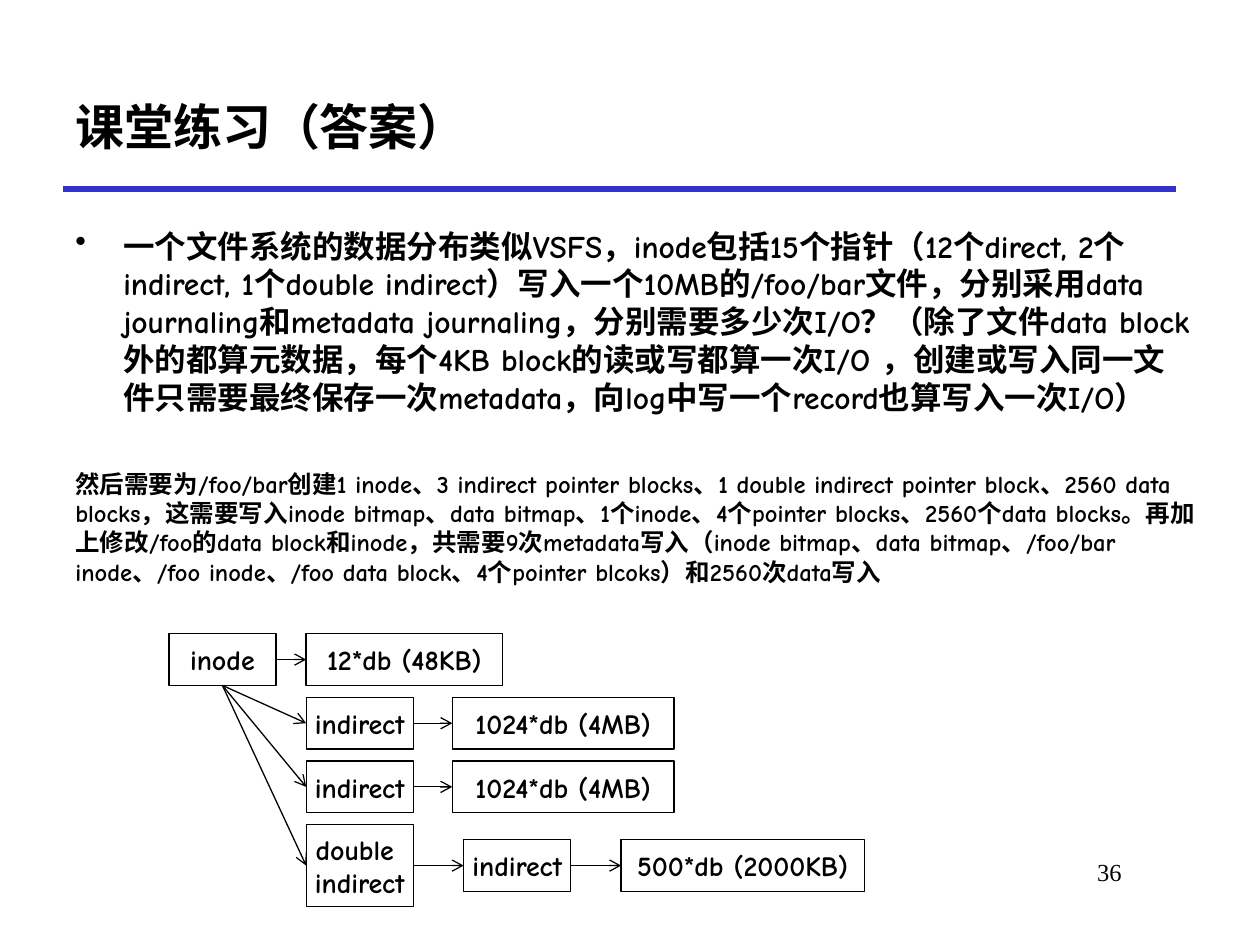
from lxml import etree
from pptx import Presentation
from pptx.dml.color import RGBColor
from pptx.enum.shapes import MSO_CONNECTOR, MSO_SHAPE
from pptx.enum.text import MSO_ANCHOR, PP_ALIGN
from pptx.oxml.ns import qn
from pptx.util import Inches, Pt

BLACK = RGBColor(0x00, 0x00, 0x00)
WHITE = RGBColor(0xFF, 0xFF, 0xFF)
BLUE = RGBColor(0x33, 0x33, 0xCC)
RECTANGLE = MSO_SHAPE.RECTANGLE
STRAIGHT = MSO_CONNECTOR.STRAIGHT
LEFT, CENTER, RIGHT = PP_ALIGN.LEFT, PP_ALIGN.CENTER, PP_ALIGN.RIGHT
TOP, MIDDLE = MSO_ANCHOR.TOP, MSO_ANCHOR.MIDDLE
LEFT_SIDE, BOTTOM_SIDE, RIGHT_SIDE = 1, 2, 3

TITLE = "课堂练习（答案）"
QUESTION = (
    "一个文件系统的数据分布类似VSFS，inode包括15个指针（12个direct, 2个indirect, "
    "1个double indirect）写入一个10MB的/foo/bar文件，分别采用data journaling和"
    "metadata journaling，分别需要多少次I/O？（除了文件data block外的都算元数据，"
    "每个4KB block的读或写都算一次I/O ，创建或写入同一文件只需要最终保存一次metadata，"
    "向log中写一个record也算写入一次I/O）"
)
ANSWER = (
    "然后需要为/foo/bar创建1 inode、3 indirect pointer blocks、"
    "1 double indirect pointer block、2560 data blocks，这需要写入inode bitmap、"
    "data bitmap、1个inode、4个pointer blocks、2560个data blocks。再加上修改/foo的"
    "data block和inode，共需要9次metadata写入（inode bitmap、data bitmap、"
    "/foo/bar inode、/foo inode、/foo data block、4个pointer blcoks）和2560次data写入"
)


def write(frame, lines, size, align=LEFT, anchor=TOP, wrap=True,
          name="Comic Neue", bold=True):
    """Fill a text frame, one paragraph per line of text."""
    frame.word_wrap = wrap
    frame.vertical_anchor = anchor
    for index, line in enumerate(lines):
        para = frame.add_paragraph() if index else frame.paragraphs[0]
        para.alignment = align
        span = para.add_run()
        span.text = line
        formats = {"name": name, "size": Pt(size), "bold": bold}
        for key, value in formats.items():
            setattr(span.font, key, value)
        span.font.color.rgb = BLACK
    return frame


def add_text(page, box, text, size, **options):
    area = page.shapes.add_textbox(*map(Inches, box))
    return write(area.text_frame, [text], size, **options)


def add_line(page, start, end, color, width):
    line = page.shapes.add_connector(STRAIGHT, *map(Inches, start + end))
    line.line.color.rgb = color
    line.line.width = Pt(width)
    etree.SubElement(line._element.spPr, qn("a:effectLst"))
    return line


def add_heading(page, box):
    """Title with the rule along its lower edge."""
    left, top, width, height = box
    add_line(page, (left, top + height), (left + width, top + height), BLUE, 3)
    add_text(page, box, TITLE, 28, anchor=MIDDLE)


def add_question(page, box):
    """Bulleted exercise text with a hanging indent."""
    para = add_text(page, box, QUESTION, 18).paragraphs[0]
    para.space_before = Pt(3.6)
    settings = para._p.get_or_add_pPr()
    settings.set("marL", str(Inches(0.38)))
    settings.set("indent", str(-Inches(0.38)))
    etree.SubElement(settings, qn("a:buChar"), char="•")


def add_node(page, box, lines):
    node = page.shapes.add_shape(RECTANGLE, *map(Inches, box))
    node.shadow.inherit = False
    node.fill.solid()
    node.fill.fore_color.rgb = WHITE
    node.line.color.rgb = BLACK
    node.line.width = Pt(0.75)
    write(node.text_frame, lines, 16, align=CENTER, anchor=MIDDLE, wrap=False)
    return node


def add_arrow(page, source, side, target):
    arrow = add_line(page, (0, 0), (0, 0), BLACK, 0.75)
    arrow.begin_connect(source, side)
    arrow.end_connect(target, LEFT_SIDE)
    etree.SubElement(arrow.line._get_or_add_ln(), qn("a:tailEnd"), type="arrow")


def add_inode_tree(page, box):
    """Inode, its pointers, and the data blocks that each row leads to."""
    left, top, _, height = box
    node_height, node_width = 0.41, 0.85
    pitch = 0.505
    tall = 0.65
    branch = left + 1.09
    inode = add_node(page, (left, top, node_width, node_height), ["inode"])

    # Each row: nodes as (lines, width, height), and the gap between them
    pointer = (["indirect"], node_width, node_height)
    double = (["double ", "indirect"], node_width, tall)
    rows = [
        ([(["12*db (48KB)"], 1.56, node_height)], 0),
        ([pointer, (["1024*db (4MB)"], 1.76, node_height)], 0.31),
        ([pointer, (["1024*db (4MB)"], 1.76, node_height)], 0.31),
        ([double, pointer, (["500*db (2000KB)"], 1.93, node_height)], 0.4),
    ]
    for index, (nodes, gap) in enumerate(rows):
        middle = top + index * pitch + nodes[0][2] / 2
        x = branch
        source = inode
        side = BOTTOM_SIDE if index else RIGHT_SIDE
        for lines, width, node_tall in nodes:
            node = add_node(page, (x, middle - node_tall / 2, width, node_tall), lines)
            add_arrow(page, source, side, node)
            source, side = node, RIGHT_SIDE
            x += width + gap


def main():
    deck = Presentation()
    deck.slide_width, deck.slide_height = Inches(10), Inches(7.5)
    page = deck.slides.add_slide(deck.slide_layouts[6])
    add_heading(page, (0.5, 0.5, 8.83, 1))
    add_question(page, (0.5, 1.75, 9.08, 1.6))
    # Page number
    add_text(page, (7.58, 6.75, 1.42, 0.5), "36", 14, align=RIGHT,
             name="Times New Roman", bold=False)
    # Worked answer
    add_text(page, (0.5, 3.67, 9.1, 1.26), ANSWER, 14)
    add_inode_tree(page, (1.34, 5.03, 5.52, 2.16))
    deck.save("out.pptx")


if __name__ == "__main__":
    main()
